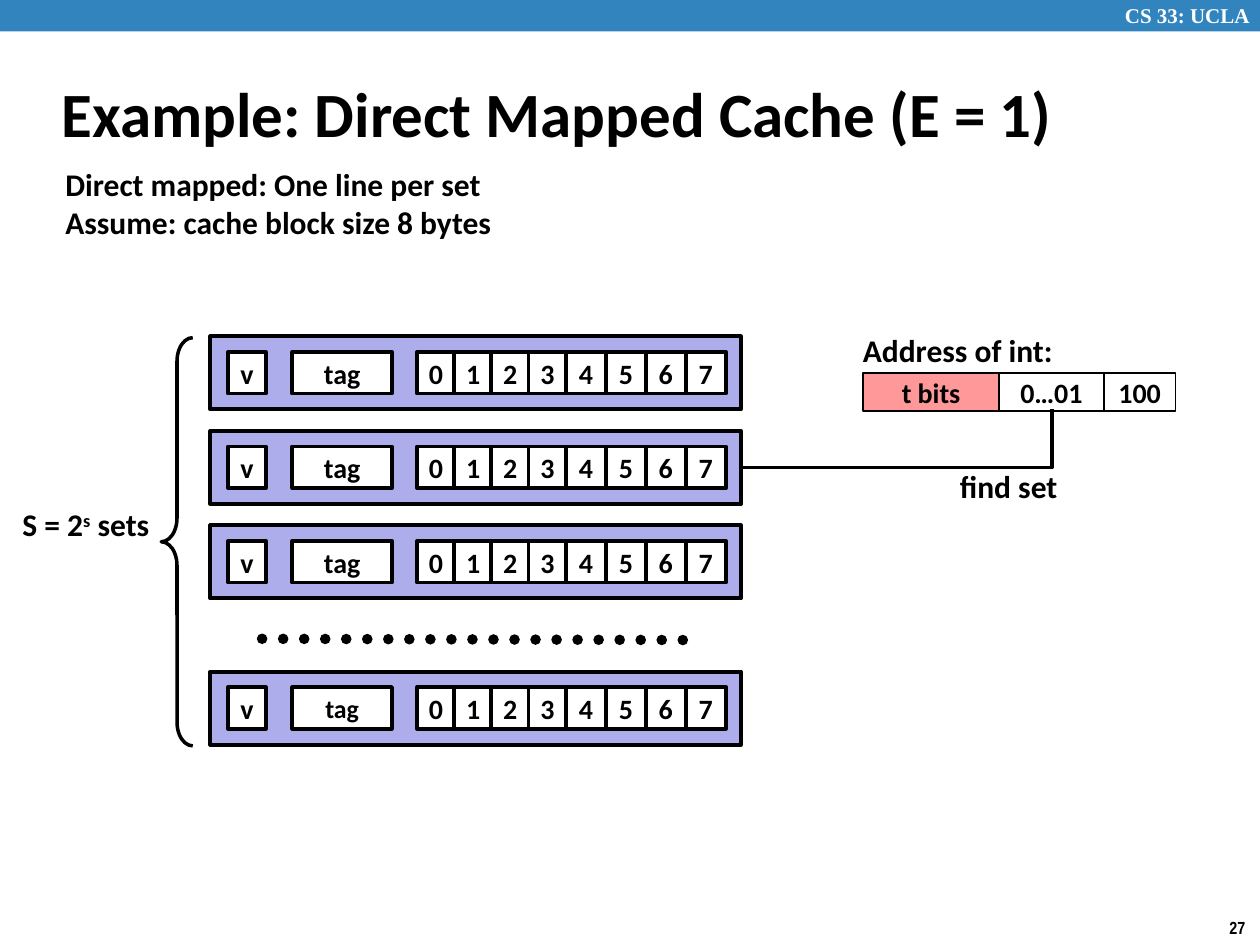
from lxml.etree import SubElement
from pptx import Presentation
from pptx.dml.color import RGBColor
from pptx.enum.dml import MSO_LINE
from pptx.enum.shapes import MSO_CONNECTOR as Connector, MSO_SHAPE as Shape
from pptx.enum.text import MSO_ANCHOR as Anchor, PP_ALIGN as Align
from pptx.oxml.ns import qn
from pptx.util import Inches, Pt

BLACK = RGBColor(0x00, 0x00, 0x00)
WHITE = RGBColor(0xFF, 0xFF, 0xFF)
BANNER_BLUE = RGBColor(0x32, 0x84, 0xBF)
SET_LAVENDER = RGBColor(0xAD, 0xAD, 0xEB)
TAG_PINK = RGBColor(0xFF, 0x99, 0x99)

COLUMNS, ROWS = 100, 75
SET_LEFT, SET_WIDTH, SET_HEIGHT = 16.7, 42.1, 5.8
SET_TOPS = (26.7, 34.2, 41.7, 53.3)
CELL_INSET, CELL_HEIGHT = 1.24, 3.3


class SlideBuilder:
    font_name = "Calibri"
    label_size = 18
    cell_size = 16

    def __init__(self, presentation):
        self.cell_width = presentation.slide_width / COLUMNS
        self.cell_height = presentation.slide_height / ROWS
        self.slide = presentation.slides.add_slide(presentation.slide_layouts[6])

    def place(self, left, top, width, height):
        return (round(left * self.cell_width), round(top * self.cell_height),
                round(width * self.cell_width), round(height * self.cell_height))

    def style(self, paragraph, size, color=BLACK, name=None):
        font = paragraph.font
        font.name = name or self.font_name
        font.size = Pt(size)
        font.bold = True
        font.color.rgb = color

    def text(self, box, lines, size=label_size, color=BLACK, name=None,
             wrap=False, anchor=Anchor.TOP):
        frame = self.slide.shapes.add_textbox(*self.place(*box)).text_frame
        frame.word_wrap = wrap
        frame.vertical_anchor = anchor
        frame.text = "\n".join(lines)
        for paragraph in frame.paragraphs:
            self.style(paragraph, size, color, name)
        return frame

    def shape(self, box, kind=Shape.RECTANGLE, fill=None, line=None):
        shape = self.slide.shapes.add_shape(kind, *self.place(*box))
        shape.shadow.inherit = False
        if fill is None:
            shape.fill.background()
        else:
            shape.fill.solid()
            shape.fill.fore_color.rgb = fill
        if line is None:
            shape.line.fill.background()
        else:
            shape.line.color.rgb = BLACK
            shape.line.width = Pt(line)
        return shape

    def cell(self, box, label, fill=WHITE, line=2.25, size=cell_size):
        frame = self.shape(box, fill=fill, line=line).text_frame
        frame.word_wrap = False
        frame.vertical_anchor = Anchor.MIDDLE
        paragraph = frame.paragraphs[0]
        paragraph.text = label
        paragraph.alignment = Align.CENTER
        self.style(paragraph, size)

    def connector(self, start, end, width, kind=Connector.STRAIGHT):
        connector = self.slide.shapes.add_connector(
            kind, *self.place(*start, *end))
        connector.line.color.rgb = BLACK
        connector.line.width = Pt(width)
        SubElement(connector._element.spPr, qn("a:effectLst"))
        return connector

    def dotted_line(self, start, end, width):
        connector = self.connector(start, end, width)
        connector.line.dash_style = MSO_LINE.ROUND_DOT
        connector._element.spPr.get_or_add_ln().set("cap", "rnd")

    def down_left_elbow(self, start, end, width):
        center_x, center_y = (start[0] + end[0]) / 2, (start[1] + end[1]) / 2
        half_run, half_drop = (start[0] - end[0]) / 2, (end[1] - start[1]) / 2
        connector = self.connector(
            (center_x - half_drop, center_y - half_run),
            (center_x + half_drop, center_y + half_run), width, Connector.ELBOW)
        properties = connector._element.spPr
        properties.find(qn("a:xfrm")).set("rot", "5400000")
        properties.find(qn("a:prstGeom")).set("prst", "bentConnector2")

    def cache_set(self, top, tag_size):
        self.shape((SET_LEFT, top, SET_WIDTH, SET_HEIGHT),
                   fill=SET_LAVENDER, line=2.25)
        cell_top = top + CELL_INSET
        for byte in range(8):
            if byte < 4:
                left, width = 33.1 + 2.95 * byte, 3
            else:
                left, width = 44.9 + 3.17 * (byte - 4), 3.2
            self.cell((left, cell_top, width, CELL_HEIGHT), str(byte))
        self.cell((23.2, cell_top, 7.9, CELL_HEIGHT), "tag", size=tag_size)
        self.cell((18.1, cell_top, 3, CELL_HEIGHT), "v")


def main():
    presentation = Presentation()
    presentation.slide_width = Inches(10)
    presentation.slide_height = Inches(7.5)
    builder = SlideBuilder(presentation)

    builder.shape((0, 0, COLUMNS, 2.5), fill=BANNER_BLUE)
    builder.text((88.3, -0.3, 12.4, 3), ["CS 33: UCLA"], size=12, color=WHITE,
                 name="Times New Roman", wrap=True)
    builder.text((96.6, 72.3, 3.4, 2.7), ["27"], size=10, name="Arial Narrow")
    builder.text((3.9, 4.8, 83, 8.3), ["Example: Direct Mapped Cache (E = 1)"],
                 size=36, wrap=True, anchor=Anchor.MIDDLE)
    builder.text((4.2, 12.6, 36.1, 7.1), ["Direct mapped: One line per set",
                                        "Assume: cache block size 8 bytes"])

    brace = builder.shape((12.8, 26.8, 2.5, 32.4), Shape.LEFT_BRACE, line=2)
    brace.adjustments[0] = 0.75
    count = builder.text((0.8, 39.6, 12.3, 4), ["S = 2"]).paragraphs[0]
    exponent = count.add_run()
    exponent.text = "s"
    exponent.font._element.set("baseline", "30000")
    count.add_run().text = " sets"
    builder.dotted_line((20.8, 50.7), (55, 50.8), 6)

    for top in SET_TOPS:
        builder.cache_set(top, 14.8 if top == SET_TOPS[-1] else 16)

    builder.text((67.5, 25.8, 17.2, 4), ["Address of int:"])
    left = 68.5
    for label, width, fill in (("t bits", 10.8, TAG_PINK),
                               ("0…01", 8.3, WHITE), ("100", 5.7, WHITE)):
        builder.cell((left, 29.6, width, 3), label, fill, line=1)
        left += width

    builder.down_left_elbow((83.5, 32.5), (58.8, 37.1), 2)
    builder.text((75.2, 36.6, 9.8, 4), ["find set"])
    presentation.save("out.pptx")


if __name__ == "__main__":
    main()
